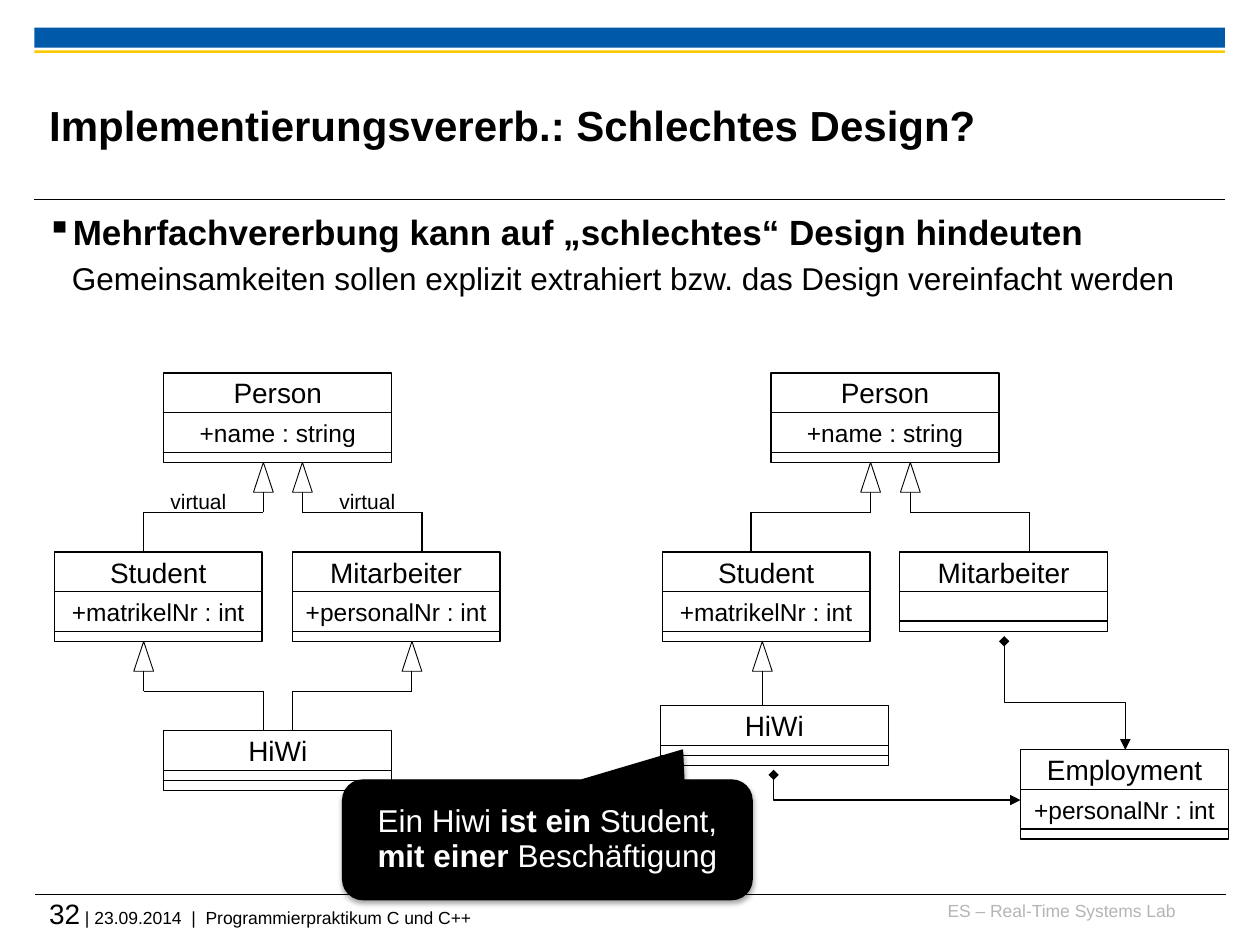
from lxml import etree
from pptx import Presentation
from pptx.dml.color import RGBColor
from pptx.enum.shapes import MSO_CONNECTOR, MSO_SHAPE
from pptx.enum.text import MSO_ANCHOR, PP_ALIGN
from pptx.oxml.ns import qn
from pptx.util import Pt

RECT = MSO_SHAPE.RECTANGLE
TRIANGLE = MSO_SHAPE.ISOSCELES_TRIANGLE
CALLOUT = MSO_SHAPE.ROUNDED_RECTANGULAR_CALLOUT
STRAIGHT, ELBOW = MSO_CONNECTOR.STRAIGHT, MSO_CONNECTOR.ELBOW
MIDDLE = MSO_ANCHOR.MIDDLE
LEFT, CENTER, RIGHT = PP_ALIGN.LEFT, PP_ALIGN.CENTER, PP_ALIGN.RIGHT
BLACK, WHITE = "000000", "FFFFFF"
ROW, FOOT = 22.7, 5.7
WIDE, NARROW = 130.3, 118.8
TIP_W, TIP_H, BAR = 11.3, 17.1, 28.6


def rgb(value):
    return RGBColor.from_string(value)


def write(p, text, size=16, color=BLACK, bold=False, align=LEFT):
    p.alignment = align
    r = p.add_run()
    r.text = text
    r.font.name = "Arial"
    r.font.size = Pt(size)
    r.font.bold = bold
    r.font.color.rgb = rgb(color)


def set_insets(tf, inset):
    tf.margin_left = tf.margin_right = tf.margin_top = tf.margin_bottom = Pt(inset)


def add_text_box(s, x, y, w, h, inset=None):
    tf = s.shapes.add_textbox(Pt(x), Pt(y), Pt(w), Pt(h)).text_frame
    tf.word_wrap = True
    if inset is not None:
        set_insets(tf, inset)
    return tf


def add_box(s, kind, x, y, w, h, fill=WHITE, line=0.75):
    sp = s.shapes.add_shape(kind, Pt(x), Pt(y), Pt(w), Pt(h))
    sp.shadow.inherit = False
    sp.fill.solid()
    sp.fill.fore_color.rgb = rgb(fill)
    if line:
        sp.line.color.rgb = rgb(BLACK)
        sp.line.width = Pt(line)
    else:
        sp.line.fill.background()
    return sp


def add_line(s, x1, y1, x2, y2, width=0.75, kind=STRAIGHT):
    line = s.shapes.add_connector(kind, Pt(x1), Pt(y1), Pt(x2), Pt(y2))
    line.line.color.rgb = rgb(BLACK)
    line.line.width = Pt(width)
    etree.SubElement(line.element.spPr, qn("a:effectLst"))
    return line


def add_class(s, x, y, w, name, attribute="", middle=ROW):
    for text, size, height in ((name, 16, ROW), (attribute, 14, middle), ("", 14, FOOT)):
        sp = add_box(s, RECT, x, y, w, height)
        if text:
            tf = sp.text_frame
            tf.word_wrap = False
            tf.vertical_anchor = MIDDLE
            write(tf.paragraphs[0], text, size=size, align=CENTER)
        y += height


def add_inheritance(s, parent_x, parent_y, child_x, child_y):
    add_box(s, TRIANGLE, parent_x - TIP_W / 2, parent_y, TIP_W, TIP_H, line=0.5)
    bar_y = child_y if parent_x == child_x else parent_y + BAR
    add_line(s, parent_x, parent_y + TIP_H, parent_x, bar_y, width=0.5)
    if parent_x != child_x:
        add_line(s, parent_x, bar_y, child_x, bar_y)
        add_line(s, child_x, bar_y, child_x, child_y)


def add_composition(s, x1, y1, x2, y2, bend=None):
    cx, cy = (x1 + x2) / 2, (y1 + y2) / 2
    dx, dy = (x2 - x1) / 2, (y2 - y1) / 2
    line = add_line(s, cx + dy, cy - dx, cx - dy, cy + dx, kind=ELBOW)
    sp_pr = line.element.spPr
    sp_pr.find(qn("a:xfrm")).set("rot", "16200000")
    geometry = sp_pr.find(qn("a:prstGeom"))
    if bend is None:
        geometry.set("prst", "bentConnector2")
    else:
        guides = geometry.find(qn("a:avLst"))
        etree.SubElement(guides, qn("a:gd"), name="adj1", fmla=f"val {round(bend * 100000)}")
    ln = sp_pr.find(qn("a:ln"))
    etree.SubElement(ln, qn("a:headEnd"), type="diamond")
    etree.SubElement(ln, qn("a:tailEnd"), type="triangle")


def add_frame(s):
    add_line(s, 20.2, 511.2, 700.5, 511.2, width=0.6)
    add_box(s, RECT, 19.6, 15.8, 680.4, 11.5, fill="005AA9", line=0)
    add_line(s, 19.6, 114.2, 700, 114.2, width=0.6)
    add_box(s, RECT, 19.6, 28.8, 680.4, 1.4, fill="FDCA00", line=0)
    lab = add_text_box(s, 529.9, 514.1, 141.8, 18, inset=0)
    write(lab.paragraphs[0], "ES – Real-Time Systems Lab", size=10, color="B5B5B5", align=RIGHT)
    p = add_text_box(s, 28.1, 512.6, 671.8, 23.8, inset=0).paragraphs[0]
    write(p, "32")
    write(p, " | 23.09.2014  |  Programmierpraktikum C und C++", size=10)


def add_title(s):
    title = s.shapes.title
    title.left, title.top, title.width, title.height = Pt(28.1), Pt(38.2), Pt(541.4), Pt(66.2)
    tf = title.text_frame
    set_insets(tf, 0)
    tf.vertical_anchor = MIDDLE
    write(tf.paragraphs[0], "Implementierungsvererb.: Schlechtes Design?", size=24, bold=True)


def add_body(s):
    tf = add_text_box(s, 19.6, 116.6, 680.4, 68.4)
    p, detail = tf.paragraphs[0], tf.add_paragraph()
    for item, indent in ((p, -14.4), (detail, 0)):
        p_pr = item._p.get_or_add_pPr()
        p_pr.set("marL", str(Pt(14.4)))
        p_pr.set("indent", str(Pt(indent)))
    etree.SubElement(p._p.get_or_add_pPr(), qn("a:buChar"), char="▪")
    write(p, "Mehrfachvererbung kann auf „schlechtes“ Design hindeuten", size=20, bold=True)
    detail.level = 1
    detail.space_before = Pt(3.6)
    write(detail, "Gemeinsamkeiten sollen explizit extrahiert bzw. das Design vereinfacht werden", size=18)


def add_multiple_inheritance(s):
    add_class(s, 93.6, 213.1, WIDE, "Person", "+name : string")
    add_class(s, 31, 315.4, NARROW, "Student", "+matrikelNr : int")
    add_class(s, 167, 315.4, NARROW, "Mitarbeiter", "+personalNr : int")
    add_class(s, 93.6, 417.6, WIDE, "HiWi", middle=FOOT)
    add_inheritance(s, 150.5, 264.2, 82.1, 315.4)
    add_inheritance(s, 172.8, 264.2, 241.2, 315.4)
    add_inheritance(s, 82.1, 366.5, 150.5, 417.6)
    add_inheritance(s, 235.4, 366.5, 167, 417.6)
    for x in (82.1, 178.6):
        tf = add_text_box(s, x, 275.8, 62.6, 21.6)
        write(tf.paragraphs[0], "virtual", size=12, align=CENTER)


def add_single_inheritance(s):
    add_class(s, 440.6, 213.1, WIDE, "Person", "+name : string")
    add_class(s, 378.4, 315.4, NARROW, "Student", "+matrikelNr : int")
    add_class(s, 514.1, 315.4, NARROW, "Mitarbeiter", middle=16.9)
    add_class(s, 377.3, 403.2, WIDE, "HiWi", middle=FOOT)
    add_class(s, 583.2, 428.4, NARROW, "Employment", "+personalNr : int")
    add_inheritance(s, 497.5, 264.2, 429.1, 315.4)
    add_inheritance(s, 520.2, 264.2, 588.2, 315.4)
    add_inheritance(s, 435.6, 366.5, 435.6, 403.2)
    add_composition(s, 442.1, 442.8, 583.2, 457.2)
    add_composition(s, 573.8, 366.5, 643, 428.4, bend=0.565)


def add_callout(s):
    sp = add_box(s, CALLOUT, 195.8, 445.7, 234, 68.4, fill=BLACK)
    for i, value in enumerate((0.33, -0.75, 0.17)):
        sp.adjustments[i] = value
    effects = sp.element.spPr.find(qn("a:effectLst"))
    shadow = etree.SubElement(effects, qn("a:outerShdw"), blurRad=str(Pt(3.1)),
                              dist=str(Pt(1.8)), dir="5400000", rotWithShape="0")
    color = etree.SubElement(shadow, qn("a:srgbClr"), val=BLACK)
    etree.SubElement(color, qn("a:alpha"), val="35000")
    tf = sp.text_frame
    tf.word_wrap = True
    tf.vertical_anchor = MIDDLE
    p = tf.paragraphs[0]
    p.line_spacing = 0.93
    for text, bold in (("Ein Hiwi ", False), ("ist ein", True), (" Student, ", False),
                       ("mit einer ", True), ("Beschäftigung", False)):
        write(p, text, size=18, color=WHITE, bold=bold, align=CENTER)


def main():
    prs = Presentation()
    prs.slide_width, prs.slide_height = Pt(720), Pt(540)
    s = prs.slides.add_slide(prs.slide_layouts[5])
    add_frame(s)
    add_title(s)
    add_body(s)
    add_multiple_inheritance(s)
    add_single_inheritance(s)
    add_callout(s)
    prs.save("out.pptx")


if __name__ == "__main__":
    main()
